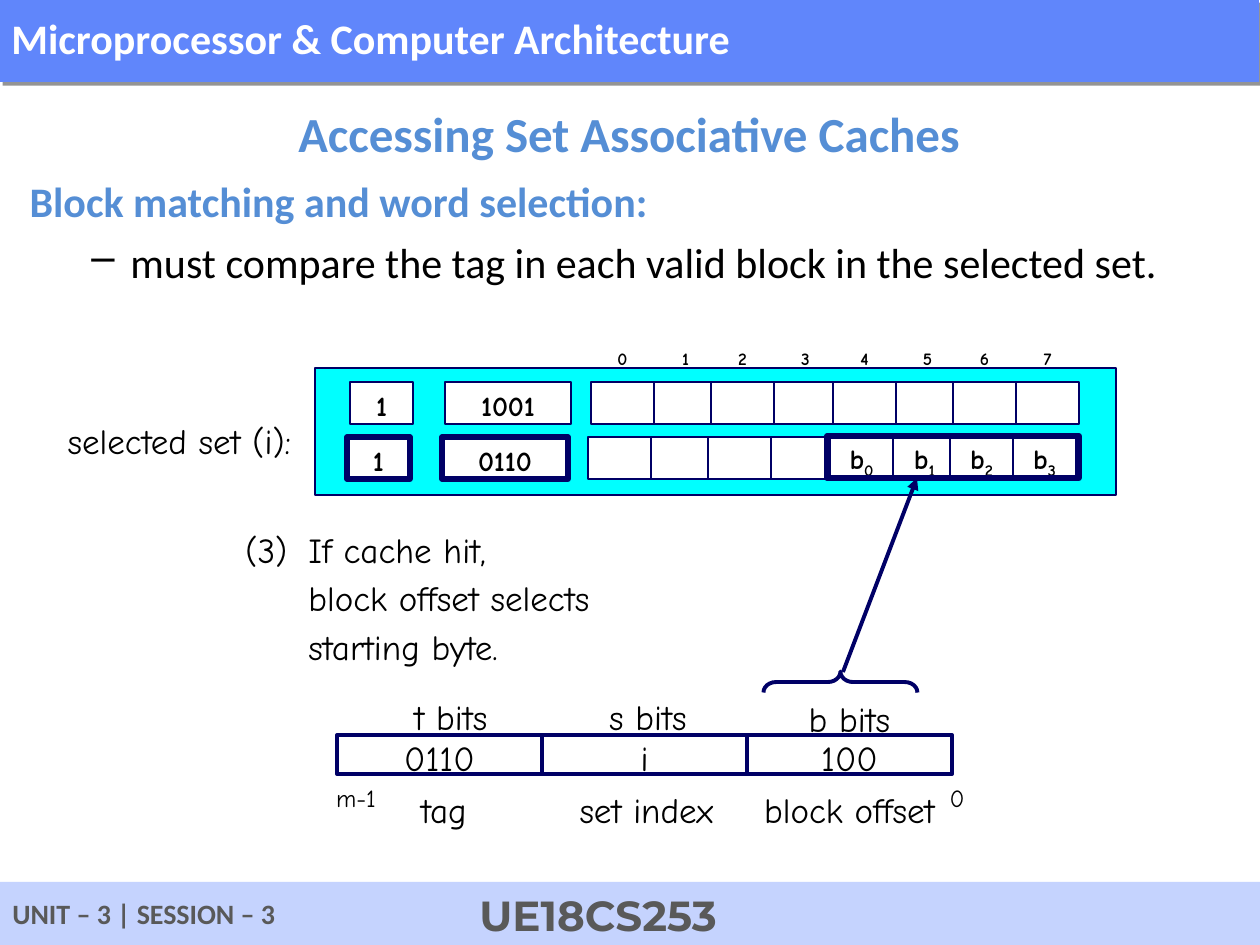
import pptx
import pptx.util
import pptx.dml.color
import pptx.enum.shapes
import pptx.enum.text
from lxml import etree

HUE = {"band": "6086FB", "foot": "C5D3FE", "gray": "595959", "head": "558ED5",
       "navy": "000066", "cyan": "00FFFF", "white": "FFFFFF", "black": "000000"}
HAND = "Comic Neue"
NS = "http://schemas.openxmlformats.org/drawingml/2006/main"
PX = 914400 / 126
KIND = pptx.enum.shapes.MSO_SHAPE
ALIGN = pptx.enum.text.PP_ALIGN
MID = pptx.enum.text.MSO_ANCHOR.MIDDLE
TOP = pptx.enum.text.MSO_ANCHOR.TOP
GROW = pptx.enum.text.MSO_AUTO_SIZE.SHAPE_TO_FIT_TEXT

CELLS = [591, 654, 711, 774, 833, 896, 953, 1016]
ROWS = [
    {"y": 437, "shift": -3, "valid": "1", "tag": "0110", "edge": 3,
     "bytes": ["", "", "", "", "b0", "b1", "b2", "b3"]},
    {"y": 382, "shift": 0, "valid": "1", "tag": "1001", "edge": 1,
     "bytes": [""] * 8},
]
FIELDS = ["0110", "i", "100"]
NOTES = [
    ("t bits", 400, 683, 102, 60, 20), ("s bits", 595, 683, 106, 60, 20),
    ("b bits", 794, 685, 111, 60, 20), ("tag", 406, 776, 76, 60, 20),
    ("set index", 565, 776, 163, 60, 20),
    ("block offset", 750, 776, 199, 60, 20),
    ("m-1", 322, 772, 68, 47, 14), ("0", 935, 772, 44, 47, 14),
    ("selected set (i):", 53, 406, 253, 62, 20),
]

deck = pptx.Presentation()
deck.slide_width = pptx.util.Inches(10)
deck.slide_height = pptx.util.Inches(7.5)
slide = deck.slides.add_slide(deck.slide_layouts[6])


def emu(*nums):
    return [round(n * PX) for n in nums]


def tone(name):
    return pptx.dml.color.RGBColor.from_string(HUE[name])


def style(para, size, font=HAND, color="black", bold=False, space=1.16, align=None):
    para.line_spacing = space
    para.alignment = align
    para.font.size = pptx.util.Pt(size)
    para.font.name = font
    para.font.bold = bold
    para.font.color.rgb = tone(color)


def rect(x, y, w, h, fill=None, edge=0, kind=KIND.RECTANGLE):
    shape = slide.shapes.add_shape(kind, *emu(x, y, w, h))
    shape.shadow.inherit = False
    if fill:
        shape.fill.solid()
        shape.fill.fore_color.rgb = tone(fill)
    else:
        shape.fill.background()
    if edge:
        shape.line.color.rgb = tone("navy")
        shape.line.width = pptx.util.Pt(edge)
    else:
        shape.line.fill.background()
    return shape


def label(shape, text, size, wrap=False, anchor=MID, **look):
    frame = shape.text_frame
    frame.word_wrap = wrap
    frame.vertical_anchor = anchor
    para = frame.paragraphs[0]
    para.text = text
    style(para, size, **look)
    return para


def textbox(x, y, w, h):
    return slide.shapes.add_textbox(*emu(x, y, w, h))


def indent(para, left, first):
    props = para._p.get_or_add_pPr()
    props.set("marL", str(pptx.util.Inches(left)))
    props.set("indent", str(pptx.util.Inches(first)))
    return props


def cell(x, y, w, text, edge):
    box = rect(x, y, w, 42, "white", edge)
    if text:
        para = label(box, text, 16, bold=True, align=ALIGN.CENTER)
        if text[0] == "b":
            para.runs[0].text = "b"
            low = para.add_run()
            low.text = text[1:]
            low._r.get_or_add_rPr().set("baseline", "-25000")


bar = rect(-1, -1, 1260, 83, "band")
label(bar, "Microprocessor & Computer Architecture", 24, wrap=True, font="Calibri",
      color="white", bold=True, space=0.93, align=ALIGN.LEFT)
effect = bar._element.spPr.find(f"{{{NS}}}effectLst")
effect.append(etree.fromstring(
    f'<a:outerShdw xmlns:a="{NS}" blurRad="0" dist="38100" dir="2700000">'
    '<a:srgbClr val="000000"><a:alpha val="41000"/></a:srgbClr></a:outerShdw>'))

rect(0, 882, 1260, 63, "foot")
for text, spot, size, font in [
        ("UNIT – 3 | SESSION – 3", (0, 893, 412, 45), 16, "Calibri"),
        ("UE18CS253", (467, 888, 237, 50), 24, "Montserrat")]:
    label(rect(*spot, "foot"), text, size, anchor=TOP, font=font, color="gray",
          bold=True, space=0.93, align=ALIGN.LEFT)

label(textbox(-1, 79, 1260, 107), "Accessing Set Associative Caches", 28, wrap=True,
      font="Calibri", color="head", bold=True, space=1.0, align=ALIGN.CENTER)

body = textbox(16, 169, 1168, 719)
lead = label(body, "Block matching and word selection:", 24, wrap=True, anchor=TOP,
             font="Calibri", color="head", bold=True, space=1.0)
indent(lead, 0.38, -0.37)
point = body.text_frame.add_paragraph()
point.text = "must compare the tag in each valid block in the selected set."
point.level = 1
props = indent(point, 0.81, -0.31)
etree.SubElement(props, f"{{{NS}}}buChar", char="–")
style(point, 24, font="Calibri", space=1.0)
point.space_before = pptx.util.Pt(6)

rect(315, 368, 801, 127, "cyan", 1)
for row in ROWS:
    y, shift = row["y"], row["shift"]
    cell(350 + shift, y, 63, row["valid"], row["edge"])
    cell(445 + shift, y, 126, row["tag"], row["edge"])
    for x, text in zip(CELLS, row["bytes"]):
        cell(x + shift, y, 63, text, 1)
rect(827, 436, 252, 42, edge=3)
for i, x in enumerate(CELLS):
    label(textbox(x, 336, 63, 42), str(i), 10, bold=True, align=ALIGN.CENTER)

for i, text in enumerate(FIELDS):
    label(rect(337 + 205 * i, 735, 205, 39, edge=2.25), text, 20, align=ALIGN.CENTER)
for text, x, y, w, h, size in NOTES:
    note = textbox(x, y, w, h)
    label(note, text, size, align=ALIGN.CENTER)
    note.text_frame.auto_size = GROW

brace = rect(830, 605, 21, 154, edge=2.25, kind=KIND.RIGHT_BRACE)
brace.rotation = 270
brace.adjustments[0] = 0.6

step = label(rect(233, 515, 450, 159, "white"),
             "(3)\tIf cache hit,\vblock offset selects starting byte.", 20,
             wrap=True, align=ALIGN.LEFT)
indent(step, 0.5, -0.5)

arrow = slide.shapes.add_connector(pptx.enum.shapes.MSO_CONNECTOR.STRAIGHT,
                                   *emu(843, 672, 917, 478))
arrow.line.color.rgb = tone("navy")
arrow.line.width = pptx.util.Pt(2.25)
etree.SubElement(arrow.line._get_or_add_ln(), f"{{{NS}}}tailEnd", type="triangle")
etree.SubElement(arrow._element.spPr, f"{{{NS}}}effectLst")

deck.save("out.pptx")
